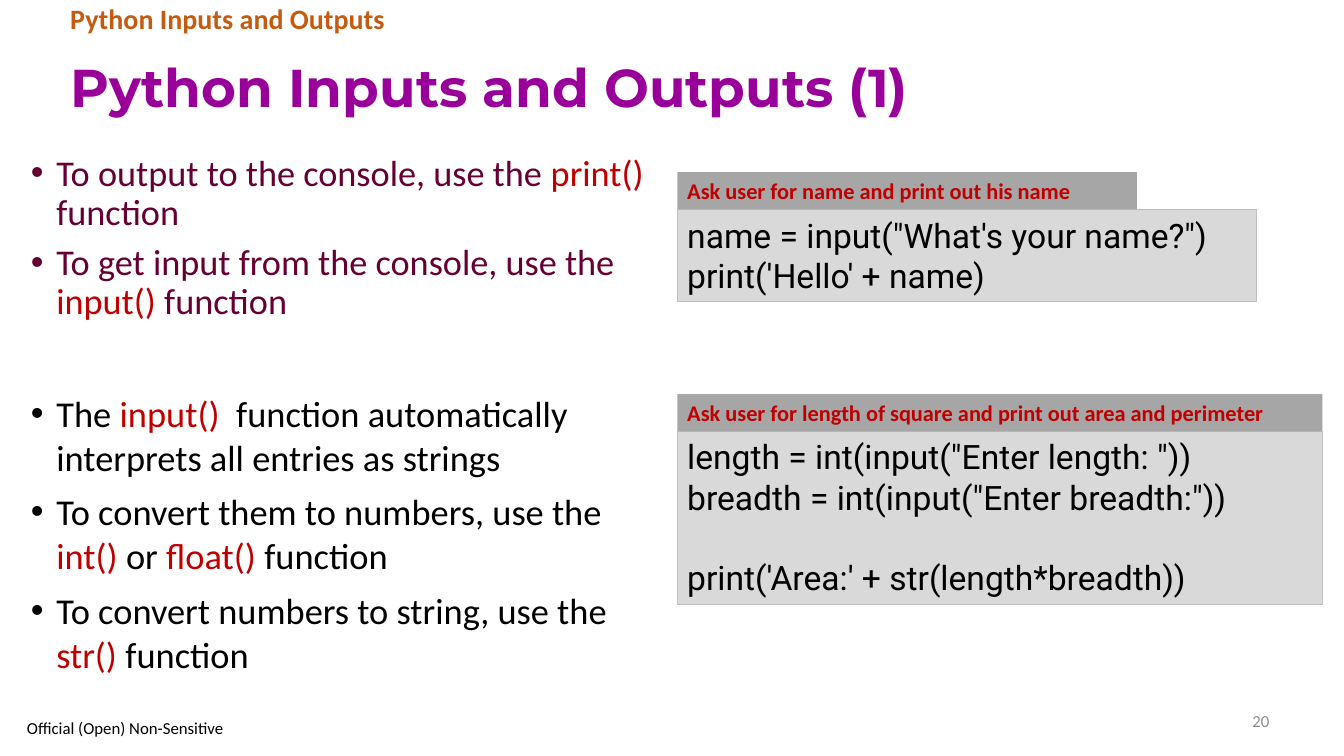
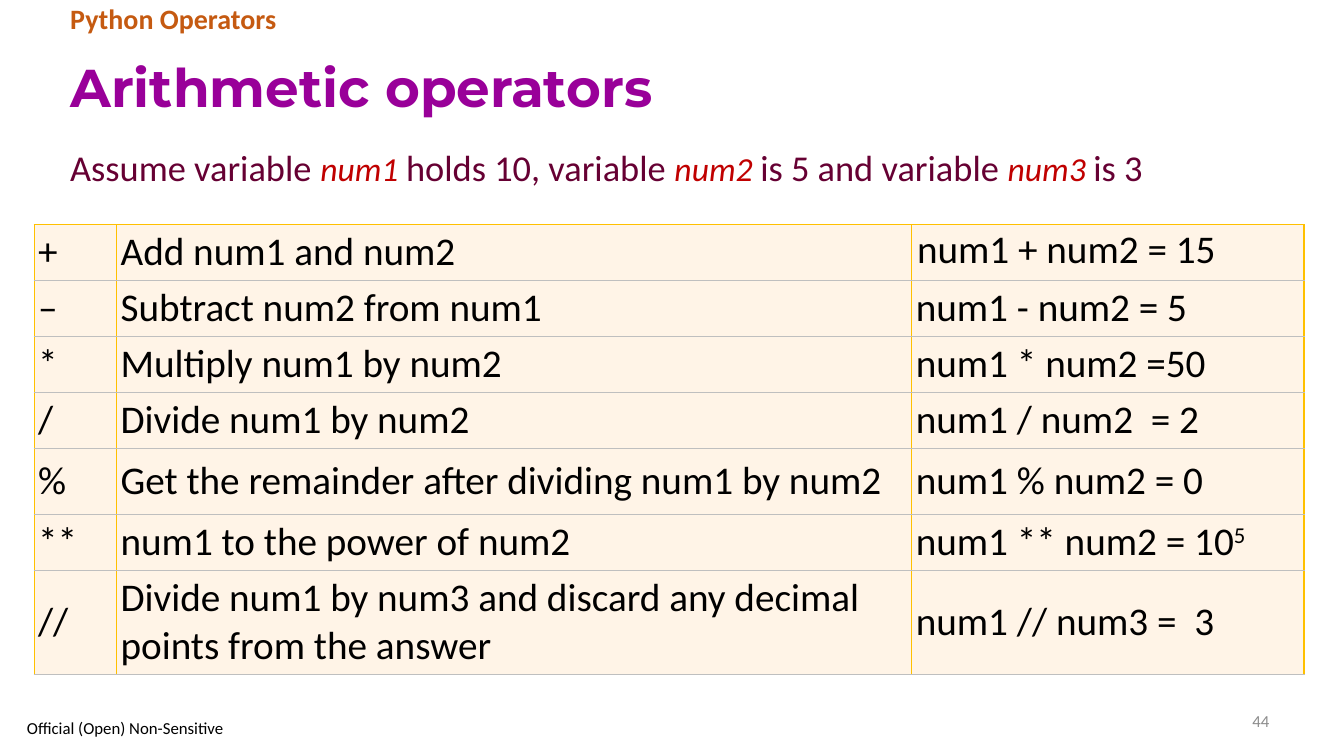
import lxml.etree
import pptx
import pptx.dml.color
import pptx.enum.shapes
import pptx.enum.text
import pptx.oxml.ns
import pptx.util

Cm = pptx.util.Cm
Pt = pptx.util.Pt
qn = pptx.oxml.ns.qn
rgb = pptx.dml.color.RGBColor.from_string
ANCHOR = pptx.enum.text.MSO_ANCHOR
ALIGN = pptx.enum.text.PP_ALIGN
AUTO_SIZE = pptx.enum.text.MSO_AUTO_SIZE


class Theme:
    title, topic, maroon, accent = "990099", "C55A11", "660033", "C00000"
    black, page_number = "000000", "8C8C8C"
    caption_fill, code_fill, code_line = "A6A6A6", "D9D9D9", "BFBFBF"
    cell_fill, cell_side, cell_rule = "FFF4E7", "FFC000", "BFBFBF"
    title_font, body_font, code_font = "Montserrat", "Calibri", "Roboto"
    title_size, table_size, body_size, summary_size = 38, 28, 26, 25.9
    code_size, variable_size, topic_size, caption_size, footer_size = 24, 24, 20, 16, 12


def write(frame, paragraphs, size, color, font=Theme.body_font, bold=False,
          bullet=False, spacing=None, accent_size=None):
    """Fill a frame; in a paragraph given as a tuple, every second piece is accented."""
    frame.word_wrap = True
    for index, pieces in enumerate(paragraphs):
        paragraph = frame.add_paragraph() if index else frame.paragraphs[0]
        paragraph.alignment = ALIGN.LEFT
        if spacing:
            paragraph.line_spacing = spacing
        if bullet:
            properties = paragraph._p.get_or_add_pPr()
            properties.set("marL", str(Cm(0.64)))
            properties.set("indent", str(-Cm(0.64)))
            lxml.etree.SubElement(properties, qn("a:buFont"), typeface="Arial")
            lxml.etree.SubElement(properties, qn("a:buChar"), char="•")
            if index:
                paragraph.space_before = Pt(8)
        if not pieces:
            blank = lxml.etree.SubElement(paragraph._p, qn("a:endParaRPr"), sz=str(size * 100))
            lxml.etree.SubElement(blank, qn("a:latin"), typeface=font)
            continue
        for position, piece in enumerate((pieces,) if isinstance(pieces, str) else pieces):
            accented = position % 2 == 1
            run = paragraph.add_run()
            run.text = piece
            run.font.name = font
            run.font.bold = bold
            run.font.size = Pt(accent_size if accented and accent_size else size)
            run.font.italic = accented and accent_size is not None
            run.font.color.rgb = rgb(Theme.accent if accented else color)


def add_text(slide, left, top, width, height, paragraphs, size, color, **style):
    frame = slide.shapes.add_textbox(Cm(left), Cm(top), Cm(width), Cm(height)).text_frame
    write(frame, paragraphs, size, color, **style)
    return frame


deck = pptx.Presentation()
deck.slide_width, deck.slide_height = Cm(33.87), Cm(19.05)

# Title, topic line and footer of every slide
slides = []
for heading, topic, number in [
    ("Python Inputs and Outputs (1)", "Python Inputs and Outputs", "20"),
    ("Arithmetic operators", "Python Operators", "44"),
]:
    slide = deck.slides.add_slide(deck.slide_layouts[5])
    slides.append(slide)
    title = slide.shapes.title
    title.left, title.top, title.width, title.height = Cm(1.52), Cm(1.04), Cm(30.71), Cm(2.46)
    write(title.text_frame, [heading], Theme.title_size, Theme.title,
          font=Theme.title_font, bold=True, spacing=0.9)
    title.text_frame.auto_size = AUTO_SIZE.NONE
    title.text_frame.vertical_anchor = ANCHOR.MIDDLE
    add_text(slide, 1.52, 0, 26.26, 1.04, [topic], Theme.topic_size, Theme.topic,
             bold=True, spacing=0.9)
    page = add_text(slide, 23.93, 17.65, 8.31, 1.02, [number],
                    Theme.footer_size, Theme.page_number)
    page.paragraphs[0].alignment = ALIGN.RIGHT
    classification = add_text(slide, 0.43, 18.01, 5.69, 0.66, ["Official (Open) Non-Sensitive"],
                              Theme.footer_size, Theme.black)
    page.vertical_anchor = classification.vertical_anchor = ANCHOR.MIDDLE

inputs_slide, operators_slide = slides

# Inputs and outputs: explanations on the left, code on the right
add_text(inputs_slide, 0.53, 3.78, 16, 4.62, [
    ("To output to the console, use the ", "print() ", "function"),
    ("To get input from the console, use the ", "input() ", "function"),
], Theme.summary_size, Theme.maroon, bullet=True, spacing=0.9)
add_text(inputs_slide, 0.53, 9.73, 15.54, 7.39, [
    ("The ", "input()  ", "function automatically interprets all entries as strings"),
    ("To convert them to numbers, use the", " int() ", "or ", "float() ", "function"),
    ("To convert numbers to string, use the ", "str() ", "function"),
], Theme.body_size, Theme.black, bullet=True)

caption_height = 0.94
for top, caption, caption_width, code_width, code_height, code in [
    (4.34, "Ask user for name and print out his name", 11.58, 14.6, 2.31,
     ["name = input(\"What's your name?\")", "print('Hello' + name)"]),
    (9.93, "Ask user for length of square and print out area and perimeter", 16.26, 16.26, 4.37,
     ['length = int(input("Enter length: "))', 'breadth = int(input("Enter breadth:"))',
      "", "print('Area:' + str(length*breadth))"]),
]:
    for panel_top, width, height, fill, line, lines, size, color, font, bold in [
        (top + caption_height, code_width, code_height, Theme.code_fill, Theme.code_line,
         code, Theme.code_size, Theme.black, Theme.code_font, False),
        (top, caption_width, caption_height, Theme.caption_fill, None,
         [caption], Theme.caption_size, Theme.accent, Theme.body_font, True),
    ]:
        panel = inputs_slide.shapes.add_shape(
            pptx.enum.shapes.MSO_SHAPE.RECTANGLE,
            Cm(17.07), Cm(panel_top), Cm(width), Cm(height))
        panel.shadow.inherit = False
        panel.fill.solid()
        panel.fill.fore_color.rgb = rgb(fill)
        if line:
            panel.line.color.rgb = rgb(line)
            panel.line.width = Pt(0.75)
        else:
            panel.line.fill.background()
        write(panel.text_frame, lines, size, color, font=font, bold=bold)
        panel.text_frame.vertical_anchor = ANCHOR.TOP
        panel.text_frame.auto_size = AUTO_SIZE.SHAPE_TO_FIT_TEXT

# Arithmetic operators: assumption above the table
add_text(operators_slide, 1.52, 3.53, 27.97, 1.37, [
    ("Assume variable ", "num1 ", "holds 10, variable ", "num2 ",
     "is 5 and variable ", "num3 ", "is 3"),
], Theme.body_size, Theme.maroon, accent_size=Theme.variable_size)

operators = [
    ("+", "Add num1 and num2", "num1 + num2 = 15"),
    ("–", "Subtract num2 from num1", "num1 - num2 = 5"),
    ("*", "Multiply num1 by num2", "num1 * num2 =50"),
    ("/", "Divide num1 by num2", "num1 / num2  = 2"),
    ("%", "Get the remainder after dividing num1 by num2", "num1 % num2 = 0"),
    ("**", "num1 to the power of num2", "num1 ** num2 = 10"),
    ("//", "Divide num1 by num3 and discard any decimal points from the answer",
     "num1 // num3 =  3"),
]
column_widths = [2.08, 20.04, 9.88]
row_heights = [1.41, 1.41, 1.41, 1.41, 1.66, 1.41, 2.62]
table = operators_slide.shapes.add_table(
    len(operators), len(column_widths), Cm(0.86), Cm(5.66),
    Cm(sum(column_widths)), Cm(sum(row_heights))).table
table.first_row = table.horz_banding = False
for column, width in zip(table.columns, column_widths):
    column.width = Cm(width)
for row_index, (row, height, texts) in enumerate(zip(table.rows, row_heights, operators)):
    row.height = Cm(height)
    for cell, text in zip(row.cells, texts):
        cell.margin_left = cell.margin_right = cell.margin_top = cell.margin_bottom = Cm(0.1)
        cell.vertical_anchor = ANCHOR.MIDDLE
        write(cell.text_frame, [text], Theme.table_size, Theme.black)
        top_color = Theme.cell_rule if row_index else Theme.cell_side
        for side, color in [("L", Theme.cell_side), ("R", Theme.cell_side),
                            ("T", top_color), ("B", Theme.cell_rule)]:
            border = lxml.etree.SubElement(cell._tc.get_or_add_tcPr(), qn(f"a:ln{side}"),
                                           w=str(Pt(1)))
            border_fill = lxml.etree.SubElement(border, qn("a:solidFill"))
            lxml.etree.SubElement(border_fill, qn("a:srgbClr"), val=color)
        cell.fill.solid()
        cell.fill.fore_color.rgb = rgb(Theme.cell_fill)

sum_result = table.cell(0, 2)
sum_result.vertical_anchor = ANCHOR.TOP
sum_result.margin_left, sum_result.margin_top = Cm(0.13), Cm(0.05)

exponent = table.cell(5, 2).text_frame.paragraphs[0].add_run()
exponent.text = "5"
exponent.font.name = Theme.body_font
exponent.font.size = Pt(Theme.table_size)
exponent.font.color.rgb = rgb(Theme.black)
exponent._r.get_or_add_rPr().set("baseline", "30000")

deck.save("out.pptx")
